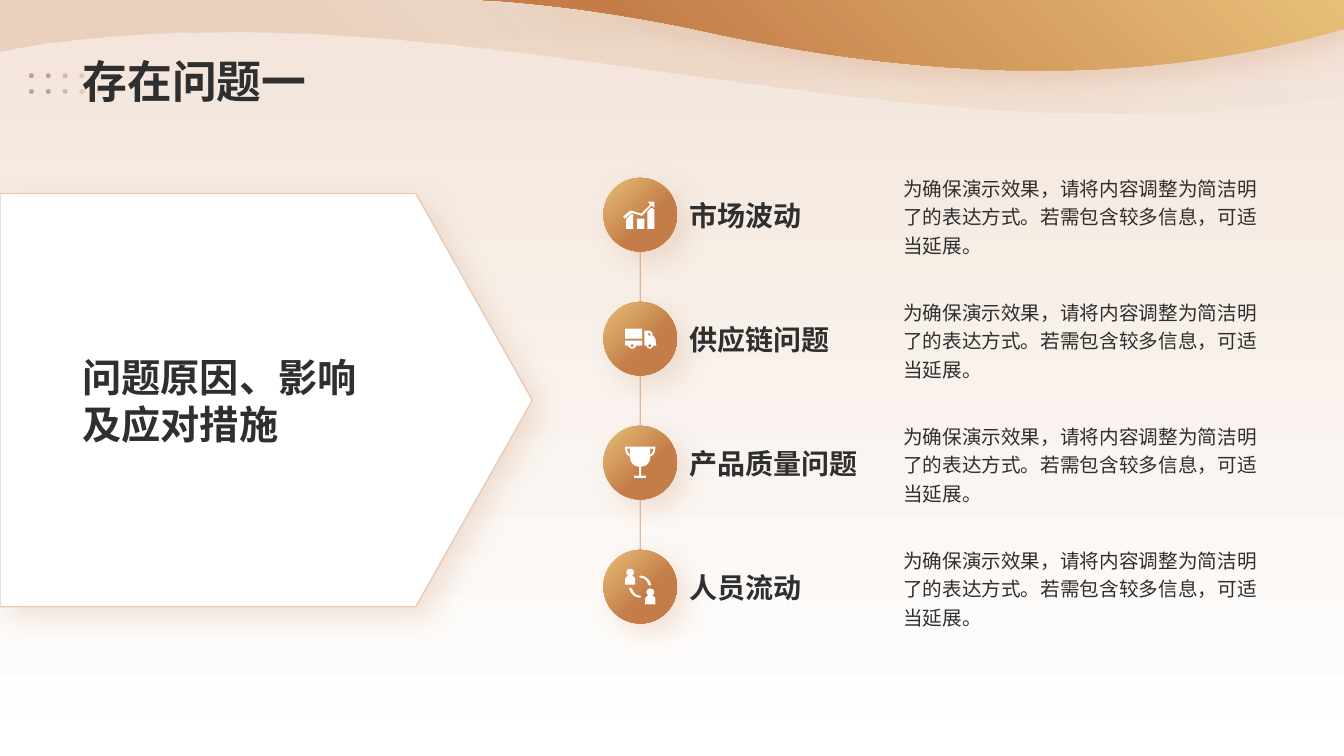
from math import cos, pi, sin

from lxml.etree import SubElement
from pptx import Presentation
from pptx.dml.color import RGBColor
from pptx.enum.shapes import MSO_CONNECTOR as CONNECTOR, MSO_SHAPE as SHAPE
from pptx.enum.text import MSO_ANCHOR as ANCHOR
from pptx.oxml.ns import qn
from pptx.util import Inches, Pt

TITLE = "存在问题一"
SUMMARY = ["问题原因、影响", "及应对措施"]
DETAIL = "为确保演示效果，请将内容调整为简洁明了的表达方式。若需包含较多信息，可适当延展。"
INK, COPPER, GOLD, WHITE = "2F2F2F", "C47D48", "E7BF79", "FFFFFF"

HEADING = {"size": Pt(20), "bold": True}
BODY = {"size": Pt(14), "bold": False}
TITLE_FONT = {"size": Pt(32), "bold": True}
SUMMARY_FONT = {"size": Pt(28), "bold": True}


def circle(x, y, radius, corners=8):
    angles = [2 * pi * corner / corners for corner in range(corners)]
    return [(x + radius * cos(angle), y + radius * sin(angle)) for angle in angles]


def box(left, top, right, bottom):
    return [(left, top), (right, top), (right, bottom), (left, bottom)]


def person(x, y):
    body = [(x - 3, y + 3.5), (x + 3, y + 3.5), (x + 5, y + 6), (x + 5, y + 12),
            (x - 5, y + 12), (x - 5, y + 6)]
    return [circle(x, y, 3.8, 12), body]


def scaled(outline, x_factor, y_factor):
    return [tuple(value * (y_factor if index % 2 else x_factor) for index, value in enumerate(point))
            for point in outline]


HANDLE = [(-10, -8), (-12, -9, -13, -12, -13, -14), (-10, -14)]
SWAP_ARC = [(-10, 1), (-8, 2), (-7, 6, -4, 9, 0, 9), (1, 10), (0, 11),
            (-5, 11, -10, 7, -11, 2)]
CHART_ICON = [
    box(-3, 4, 4, 14),
    [(-9, -1), (-7, 0), (-7, 14), (-14, 14), (-14, 5)],
    [(11, -7), (14, -5), (14, 14), (7, 14), (7, -3)],
    [(14, -13), (14, -7), (11, -9), (2, 1), (1, 1), (-9, -2), (-15, 4), (-17, 2),
     (-10, -4), (-9, -4), (1, -1), (10, -10), (8, -12), (8, -13)],
]
TRUCK_ICON = [
    box(-15, -10, 2, 0),
    [(-15, 2), (2, 2), (2, 7), (-4, 7), (-5, 11, -11, 11, -12, 7), (-15, 7)],
    [(4, -8), (9, -8), (12, -6), (12, -3), (13, -3), (15, 0),
     (16, 7), (13, 7), (12, 11, 7, 11, 6, 7), (4, 7)],
    [(8, -6), (8, -3), (10, -3), (10, -5), (9, -6)],
    circle(-8, 7, 1.6),
    circle(9.5, 7, 1.6),
]
TROPHY_ICON = [
    [(-15, -16), (15, -16), (15, -15), (15, -14, 15, -7, 10, -6), (10, -5), (10, 0, 6, 4, 1, 4),
     (1, 13), (6, 13), (6, 15), (-6, 15), (-6, 13), (-1, 13), (-1, 4), (-6, 4, -10, 0, -10, -5),
     (-10, -6), (-15, -7, -15, -14, -15, -15)],
    HANDLE,
    scaled(HANDLE, -1, 1),
]
PEOPLE_ICON = [*person(10, 5.5), *person(-10, -14), SWAP_ARC, scaled(SWAP_ARC, -1, -1)]

PROBLEMS = [("市场波动", CHART_ICON), ("供应链问题", TRUCK_ICON),
            ("产品质量问题", TROPHY_ICON), ("人员流动", PEOPLE_ICON)]

PALE_WAVE = [(10.95, 1.12), (11.59, 1.13, 12.22, 1.1, 12.86, 1.01), (13.33, 0.94), (13.33, 0),
             (0, 0), (0, 0.51), (0.47, 0.43), (3.97, -0.04, 7.46, 1.1, 10.95, 1.12)]
GOLD_WAVE = [(13.33, 0), (4.79, 0), (4.97, 0.01), (5.73, 0.07, 6.43, 0.19, 6.94, 0.3),
             (8.24, 0.59, 9.36, 0.7, 10.33, 0.7), (11.35, 0.7, 12.21, 0.57, 12.95, 0.39), (13.33, 0.29)]
DOTS = [circle(0.32 + 0.165 * column, 0.75 + 0.15 * row, 0.024) for row in range(2) for column in range(6)]


def color(value):
    return RGBColor.from_string(value)


def set_alpha(parent, percent):
    SubElement(parent.find(".//" + qn("a:srgbClr")), qn("a:alpha"), val=str(percent * 1000))


def gradient(fill, angle, *stops):
    fill.gradient()
    fill.gradient_angle = (360 - angle) % 360
    elements = fill._fill._gradFill.findall(".//" + qn("a:gs"))
    for stop, element, (position, value, alpha) in zip(fill.gradient_stops, elements, stops):
        stop.position = position / 100
        stop.color.rgb = color(value)
        if alpha < 100:
            set_alpha(element, alpha)


def plain(shape):
    shape.shadow.inherit = False
    shape.line.fill.background()
    return shape


def add_shadow(shape):
    effects = shape._element.spPr.find(qn("a:effectLst"))
    shadow = SubElement(effects, qn("a:outerShdw"), blurRad=str(Pt(20)), dist=str(Pt(10)),
                        dir="2700000", algn="tl", rotWithShape="0")
    SubElement(shadow, qn("a:srgbClr"), val=COPPER)
    set_alpha(shadow, 20)


def flatten(outline, steps):
    points = []
    for point in outline:
        if len(point) == 2:
            points.append(point)
            continue
        x0, y0 = points[-1]
        x1, y1, x2, y2, x3, y3 = point
        for step in range(1, steps + 1):
            t = step / steps
            a, b, c, d = (1 - t) ** 3, 3 * t * (1 - t) ** 2, 3 * t * t * (1 - t), t ** 3
            points.append((a * x0 + b * x1 + c * x2 + d * x3, a * y0 + b * y1 + c * y2 + d * y3))
    return points


def add_outline(slide, outlines, left=0, top=0, unit=1, steps=16):
    builder = None
    for outline in outlines:
        points = [(Inches(left + x * unit), Inches(top + y * unit)) for x, y in flatten(outline, steps)]
        if builder is None:
            builder = slide.shapes.build_freeform(*points[0], scale=1.0)
        else:
            builder.move_to(*points[0])
        builder.add_line_segments(points[1:], close=True)
    return plain(builder.convert_to_shape())


def add_text(slide, lines, bounds, font, anchor=ANCHOR.MIDDLE, spacing=None):
    frame = slide.shapes.add_textbox(*map(Inches, bounds)).text_frame
    frame.word_wrap = True
    frame.vertical_anchor = anchor
    frame.text = "\n".join(lines)
    for paragraph in frame.paragraphs:
        if spacing:
            paragraph.line_spacing = spacing
        for name, value in {"name": "Arial", **font}.items():
            setattr(paragraph.font, name, value)
        paragraph.font.color.rgb = color(INK)


def add_header(slide):
    gradient(slide.background.fill, 90, (0, "F3E5DA", 100), (100, WHITE, 100))
    gradient(add_outline(slide, [PALE_WAVE]).fill, 315, (20, COPPER, 20), (100, COPPER, 0))
    wave = add_outline(slide, [GOLD_WAVE])
    gradient(wave.fill, 135, (0, GOLD, 100), (80, COPPER, 100))
    add_shadow(wave)
    gradient(add_outline(slide, DOTS).fill, 0, (20, COPPER, 70), (100, "DCB191", 0))
    add_text(slide, [TITLE], (0.72, 0.14, 11.88, 0.98), TITLE_FONT, ANCHOR.BOTTOM)


def add_summary(slide):
    panel = plain(slide.shapes.add_shape(SHAPE.PENTAGON, *map(Inches, (0, 1.92, 5.28, 4.1))))
    panel.adjustments[0] = 0.282
    panel.fill.solid()
    panel.fill.fore_color.rgb = color(WHITE)
    panel.line.color.rgb = color("E7CBB6")
    panel.line.width = Pt(1)
    add_shadow(panel)
    add_text(slide, SUMMARY, (0.72, 2.99, 3.99, 1.97), SUMMARY_FONT)


def add_problems(slide):
    center_x, first_y, pitch, diameter = 6.35, 2.13, 1.23, 0.73
    spine = slide.shapes.add_connector(CONNECTOR.STRAIGHT, *map(Inches, (center_x, 2.33, center_x, 5.62)))
    spine.line.color.rgb = color(COPPER)
    spine.line.width = Pt(1)
    set_alpha(spine.line._ln, 50)
    SubElement(spine._element.spPr, qn("a:effectLst"))
    for index, (heading, icon) in enumerate(PROBLEMS):
        center_y = first_y + index * pitch
        bounds = (center_x - diameter / 2, center_y - diameter / 2, diameter, diameter)
        badge = plain(slide.shapes.add_shape(SHAPE.OVAL, *map(Inches, bounds)))
        gradient(badge.fill, 45, (0, GOLD, 100), (60, COPPER, 100))
        add_shadow(badge)
        symbol = add_outline(slide, icon, center_x, center_y, 0.01, steps=4)
        symbol.fill.solid()
        symbol.fill.fore_color.rgb = color(WHITE)
        add_text(slide, [heading], (6.74, center_y - 0.39, 2.05, 0.79), HEADING)
        add_text(slide, [DETAIL], (8.86, center_y - 0.49, 3.74, 0.98), BODY, spacing=1.2)


def main():
    presentation = Presentation()
    presentation.slide_width, presentation.slide_height = Inches(13.33), Inches(7.5)
    slide = presentation.slides.add_slide(presentation.slide_layouts[6])
    add_header(slide)
    add_summary(slide)
    add_problems(slide)
    presentation.save("out.pptx")


if __name__ == "__main__":
    main()
